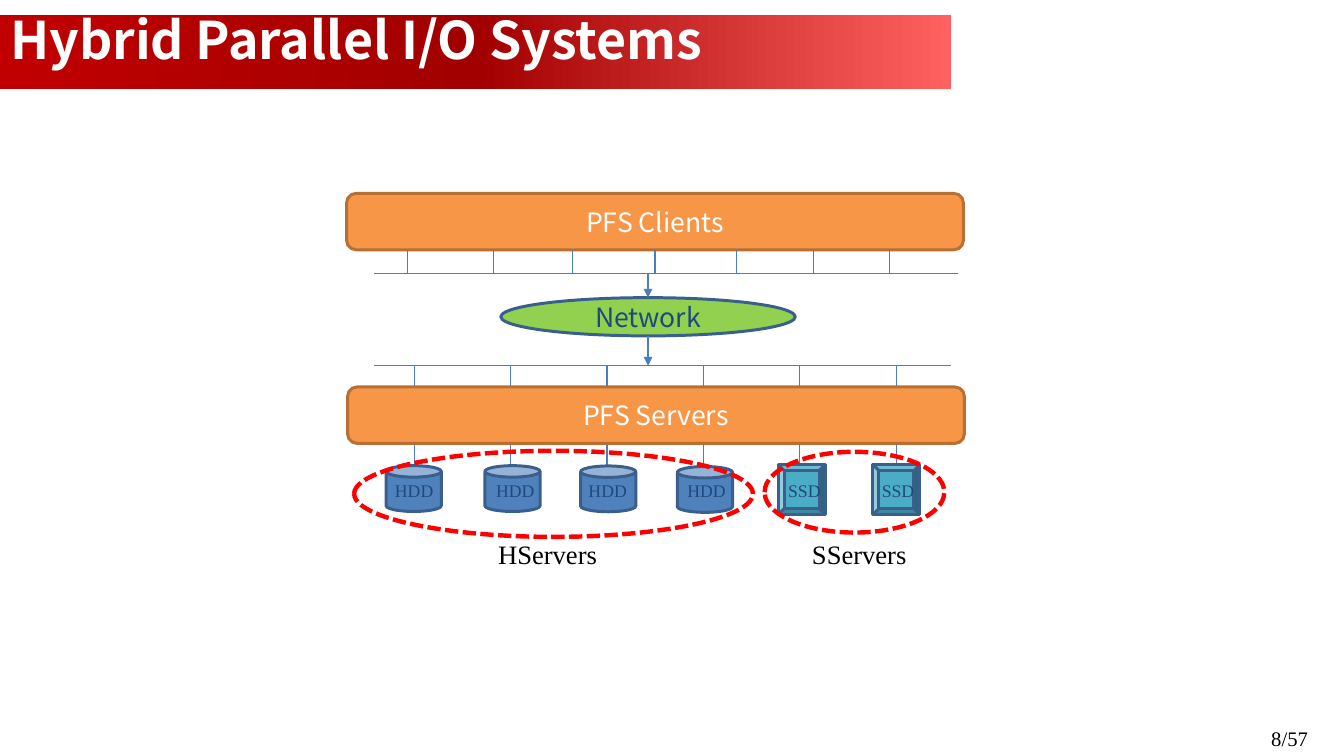
from copy import deepcopy

from lxml import etree
from pptx import Presentation
from pptx.dml.color import RGBColor
from pptx.enum.dml import MSO_LINE
from pptx.enum.shapes import MSO_CONNECTOR, MSO_SHAPE
from pptx.enum.text import MSO_ANCHOR, PP_ALIGN
from pptx.oxml.ns import qn
from pptx.util import Pt

STRAIGHT = MSO_CONNECTOR.STRAIGHT
RECTANGLE, ROUNDED = MSO_SHAPE.RECTANGLE, MSO_SHAPE.ROUNDED_RECTANGLE
OVAL, CAN, BEVEL = MSO_SHAPE.OVAL, MSO_SHAPE.CAN, MSO_SHAPE.BEVEL
DASH = MSO_LINE.SQUARE_DOT
LEFT, CENTER, RIGHT = PP_ALIGN.LEFT, PP_ALIGN.CENTER, PP_ALIGN.RIGHT
TOP, MIDDLE = MSO_ANCHOR.TOP, MSO_ANCHOR.MIDDLE

SANS, SERIF = "Noto Sans CJK SC", "Times New Roman"
WHITE, BLACK = RGBColor(255, 255, 255), RGBColor(0, 0, 0)
BAND_COLORS = [RGBColor(0xC0, 0, 0), RGBColor(0xA2, 0, 0), RGBColor(0xFF, 0x61, 0x61)]
ORANGE, BROWN = RGBColor(0xF7, 0x96, 0x46), RGBColor(0xB7, 0x6F, 0x34)
BLUE, STEEL = RGBColor(0x4F, 0x81, 0xBD), RGBColor(0x3A, 0x5F, 0x8C)
TEAL, GREEN = RGBColor(0x4B, 0xAC, 0xC6), RGBColor(0x92, 0xD0, 0x50)
NAVY, WIRE = RGBColor(0x1F, 0x49, 0x7D), RGBColor(0x4B, 0x7E, 0xBC)
RED = RGBColor(255, 0, 0)


def write(holder, text, size=18, font=SANS, color=WHITE, bold=False,
          align=CENTER, anchor=MIDDLE, spacing=1.0):
    frame = holder.text_frame
    frame.word_wrap = True
    frame.vertical_anchor = anchor
    paragraph = frame.paragraphs[0]
    paragraph.alignment = align
    paragraph.line_spacing = spacing
    run = paragraph.add_run()
    run.text = text
    run.font.size, run.font.name, run.font.bold = Pt(size), font, bold
    run.font.color.rgb = color


def label(slide, box, text, **style):
    write(slide.shapes.add_textbox(*map(Pt, box)), text, anchor=TOP, **style)


def block(slide, kind, box, fill=None, line=None, weight=2):
    part = slide.shapes.add_shape(kind, *map(Pt, box))
    part.shadow.inherit = False
    if fill is None:
        part.fill.background()
    else:
        part.fill.solid()
        part.fill.fore_color.rgb = fill
    if line is None:
        part.line.fill.background()
    else:
        part.line.color.rgb = line
        part.line.width = Pt(weight)
    return part


def wire(slide, x1, y1, x2, y2, arrow=False):
    link = slide.shapes.add_connector(STRAIGHT, *map(Pt, (x1, y1, x2, y2)))
    link.line.color.rgb = WIRE
    link.line.width = Pt(0.75)
    if arrow:
        etree.SubElement(link.line._get_or_add_ln(), qn("a:tailEnd"), type="triangle")
    etree.SubElement(link._element.spPr, qn("a:effectLst"))
    return link


def add_header(slide, left, top, width, height):
    band = block(slide, RECTANGLE, (left, top, width, height), WHITE)
    band.fill.gradient()
    band.fill.gradient_angle = 0
    first_stop = band._element.spPr.find(".//" + qn("a:gs"))
    first_stop.addnext(deepcopy(first_stop))
    for index, (stop, color) in enumerate(zip(band.fill.gradient_stops, BAND_COLORS)):
        stop.position = index / 2
        stop.color.rgb = color
    label(slide, (left, top - 3.6, width + 4, height + 9), "Hybrid Parallel I/O Systems",
          size=35.1, bold=True, align=LEFT, spacing=0.9)


def add_clients(slide, left, top, width, height):
    bottom, bus = top + height, top + 54.3
    clients = block(slide, ROUNDED, (left, top, width, height), ORANGE, BROWN)
    write(clients, "PFS Clients")
    wire(slide, left + 18.7, bus, left + 414, bus)
    for offset in (41.1, 99.4, 153, 264.2, 316.1, 367.7):
        wire(slide, left + offset, bottom, left + offset, bus)
    center = left + width / 2
    wire(slide, center, bottom, center, bus).begin_connect(clients, 2)


def add_network(slide, left, top, width, height):
    center, bottom = left + width / 2, top + height
    network = block(slide, OVAL, (left, top, width, height), GREEN, STEEL)
    write(network, "Network", color=NAVY)
    wire(slide, center, top - 16.2, center, top, arrow=True)
    wire(slide, center, bottom, center, bottom + 20.2, arrow=True)


def add_servers(slide, left, top, width, height):
    bus, bottom = top - 14.8, top + height
    wire(slide, left + 18, bus, left + 408.3, bus)
    for index in range(6):
        x = left + 45 + 65.3 * index
        wire(slide, x, bus, x, top)
        wire(slide, x, bottom, x, bottom + 15.2)
    servers = block(slide, ROUNDED, (left, top, width, height), ORANGE, BROWN)
    write(servers, "PFS Servers")


def add_drives(slide, left, top, kind, size, fill, text, drives):
    width, height = size
    for offset, drop, label_offset in drives:
        block(slide, kind, (left + offset, top + drop, width, height), fill, STEEL)
        label(slide, (left + label_offset, top + 6.1, 51.1, 21.6), text,
              size=12, font=SERIF, color=NAVY)


def add_group(slide, left, top, width, height, text, label_box):
    block(slide, OVAL, (left, top, width, height), None, RED, 3).line.dash_style = DASH
    label(slide, label_box, text, font=SERIF, color=BLACK)


def add_page_number(slide, left, top, width, height):
    label(slide, (left, top, width, height), "8/57", size=14, font=SERIF,
          color=BLACK, align=RIGHT, spacing=1.08)


def main():
    deck = Presentation()
    deck.slide_width, deck.slide_height = Pt(910), Pt(512)
    slide = deck.slides.add_slide(deck.slide_layouts[6])
    add_header(slide, 0, 10.1, 643.7, 50.1)
    add_page_number(slide, 681.8, 486.7, 211, 24.5)
    add_clients(slide, 234.7, 131, 417.6, 38.2)
    add_network(slide, 339.1, 201.6, 199.4, 25.9)
    add_servers(slide, 235.4, 262.1, 417.6, 38.2)
    add_drives(slide, 235.4, 315, CAN, (37.4, 31), BLUE, "HDD",
               [(26, 0.4, 19.5), (92.9, 0.4, 87.9), (157.7, 0.6, 150.5), (223.2, 1, 217.5)])
    add_drives(slide, 235.4, 315, BEVEL, (31.7, 33.8), TEAL, "SSD",
               [(291.6, -0.3, 283.7), (355.7, -0.3, 347.1)])
    add_group(slide, 239.8, 305.3, 270, 58.3, "HServers", (280.1, 360.7, 181.4, 28.8))
    add_group(slide, 517.7, 306, 121.7, 54.7, "SServers", (520.6, 360.7, 122.4, 28.8))
    deck.save("out.pptx")


if __name__ == "__main__":
    main()
